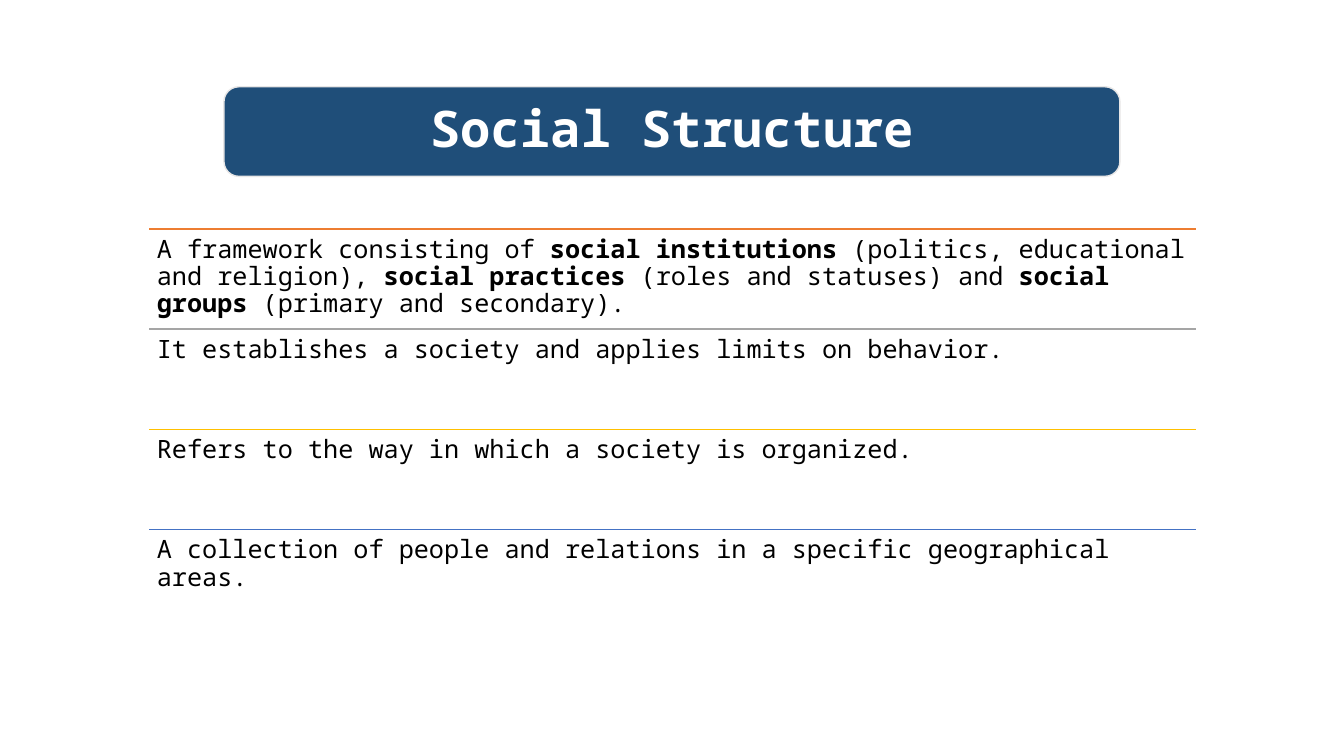
import dataclasses

import pptx
import pptx.dml.color
import pptx.enum.shapes
import pptx.enum.text
import pptx.oxml
import pptx.oxml.ns
import pptx.slide
import pptx.text.text
import pptx.util

Pt = pptx.util.Pt
RGBColor = pptx.dml.color.RGBColor

NAVY = RGBColor(0x1F, 0x4E, 0x79)
PALE = RGBColor(0xE7, 0xE6, 0xE6)
WHITE = RGBColor(0xFF, 0xFF, 0xFF)
BLACK = RGBColor(0x00, 0x00, 0x00)
ORANGE = RGBColor(0xED, 0x7D, 0x31)
GREY = RGBColor(0xA5, 0xA5, 0xA5)
GOLD = RGBColor(0xFF, 0xC0, 0x00)
BLUE = RGBColor(0x44, 0x72, 0xC4)

FONT = "Noto Sans Mono"
LEFT, TOP, WIDTH, PITCH = 106.6, 163.6, 747.4, 71.54


@dataclasses.dataclass
class Point:
    color: RGBColor
    texts: list[str]  # plain and bold texts take turns


POINTS = [
    Point(ORANGE, [
        "A framework consisting of ", "social institutions ",
        "(politics, educational and religion), ", "social practices ",
        "(roles and statuses) and ", "social groups ",
        "(primary and secondary)."]),
    Point(GREY, ["It establishes a society and applies limits on behavior."]),
    Point(GOLD, ["Refers to the way in which a society is organized."]),
    Point(BLUE, ["A collection of people and relations in a specific "
                 "geographical areas."]),
]


def set_frame(frame: pptx.text.text.TextFrame, inset: float) -> None:
    frame.word_wrap = True
    frame.margin_left = frame.margin_right = Pt(inset)
    frame.margin_top = frame.margin_bottom = Pt(inset)
    frame.paragraphs[0].line_spacing = 0.9


def set_font(run: pptx.text.text._Run, size: float, color: RGBColor,
             bold: bool) -> None:
    run.font.name = FONT
    run.font.size = Pt(size)
    run.font.bold = bold
    run.font.color.rgb = color


def add_title(slide: pptx.slide.Slide, text: str) -> None:
    box = slide.shapes.add_shape(
        pptx.enum.shapes.MSO_SHAPE.ROUNDED_RECTANGLE,
        Pt(160), Pt(62), Pt(640), Pt(64))
    box.shadow.inherit = False
    box.fill.solid()
    box.fill.fore_color.rgb = NAVY
    box.line.color.rgb = PALE
    box.line.width = Pt(1)
    frame = box.text_frame
    frame.text = text
    set_frame(frame, 13)
    frame.vertical_anchor = pptx.enum.text.MSO_ANCHOR.MIDDLE
    frame.paragraphs[0].alignment = pptx.enum.text.PP_ALIGN.CENTER
    set_font(frame.paragraphs[0].runs[0], 36, WHITE, True)


def add_point(slide: pptx.slide.Slide, point: Point, top: float) -> None:
    # Rule above the text
    rule = slide.shapes.add_connector(
        pptx.enum.shapes.MSO_CONNECTOR.STRAIGHT,
        Pt(LEFT), Pt(top), Pt(LEFT + WIDTH), Pt(top))
    rule.line.color.rgb = point.color
    rule.line.width = Pt(1)
    rule._element.spPr.append(pptx.oxml.parse_xml(
        f"<a:effectLst {pptx.oxml.ns.nsdecls('a')}/>"))

    # Text below the rule
    box = slide.shapes.add_textbox(Pt(LEFT), Pt(top), Pt(WIDTH), Pt(PITCH))
    set_frame(box.text_frame, 5.4)
    for index, text in enumerate(point.texts):
        run = box.text_frame.paragraphs[0].add_run()
        run.text = text
        set_font(run, 18, BLACK, index % 2 == 1)


def main() -> None:
    deck = pptx.Presentation()
    deck.slide_width, deck.slide_height = Pt(960), Pt(540)
    slide = deck.slides.add_slide(deck.slide_layouts[6])
    for row, point in enumerate(POINTS):
        add_point(slide, point, TOP + row * PITCH)
    add_title(slide, "Social Structure")
    deck.save("out.pptx")


if __name__ == "__main__":
    main()
